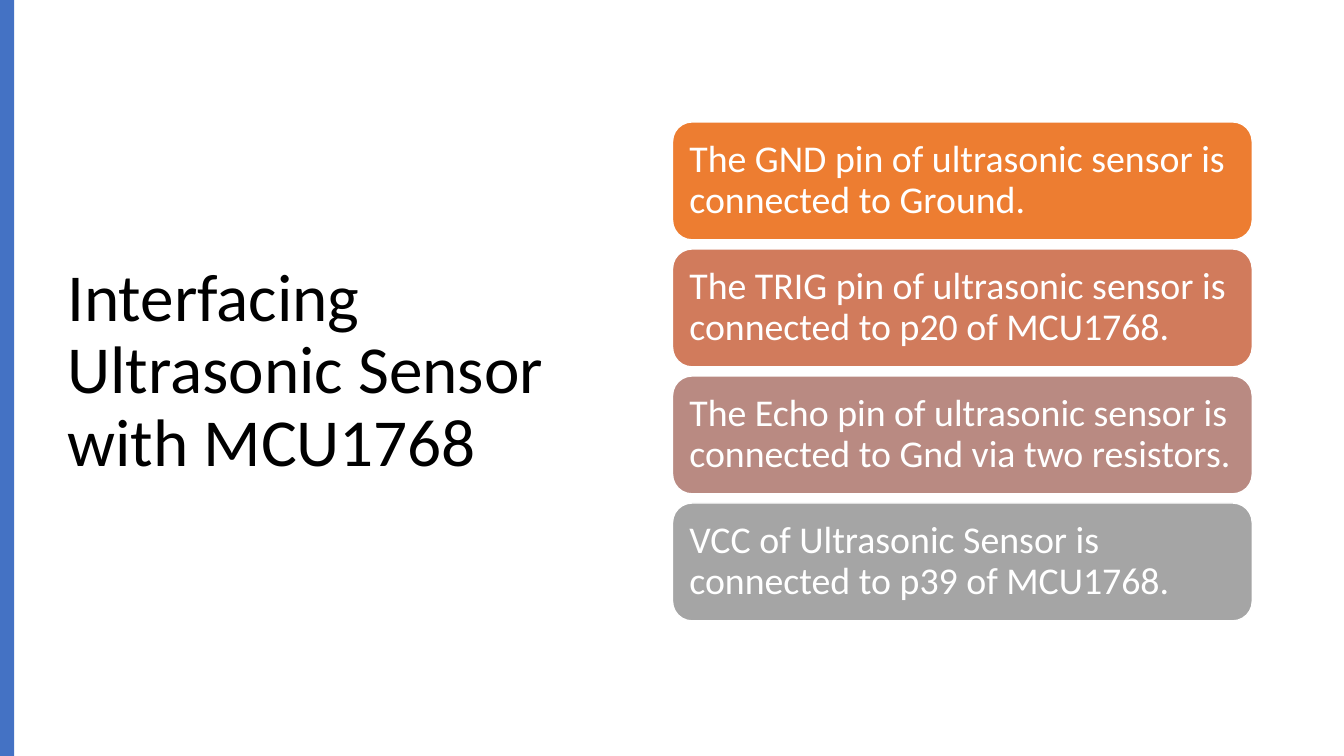
import pptx
import pptx.util
import pptx.dml.color
import pptx.enum.shapes
import pptx.enum.text

Inches = pptx.util.Inches
SHAPE = pptx.enum.shapes.MSO_SHAPE
COLORS = {
    "bar": "4472C4",
    "ground": "ED7D31",
    "trigger": "D17B5C",
    "echo": "B98A82",
    "supply": "A5A5A5",
    "white": "FFFFFF",
    "black": "000000",
}


def rgb(name):
    return pptx.dml.color.RGBColor.from_string(COLORS[name])


def set_text(tf, text, size, color, inset_x, inset_y):
    tf.word_wrap = True
    tf.vertical_anchor = pptx.enum.text.MSO_ANCHOR.MIDDLE
    tf.margin_left = tf.margin_right = Inches(inset_x)
    tf.margin_top = tf.margin_bottom = Inches(inset_y)
    p = tf.paragraphs[0]
    p.text = text
    p.alignment = pptx.enum.text.PP_ALIGN.LEFT
    p.line_spacing = 0.9
    p.font.name = "Calibri"
    p.font.size = pptx.util.Pt(size)
    p.font.color.rgb = rgb(color)


prs = pptx.Presentation()
prs.slide_width = Inches(13.33)
prs.slide_height = Inches(7.5)
s = prs.slides.add_slide(prs.slide_layouts[6])

# Title
sp = s.shapes.add_textbox(Inches(0.57), Inches(0.68), Inches(5.67), Inches(6.02))
set_text(sp.text_frame, "Interfacing Ultrasonic Sensor with MCU1768", 48, "black", 0.1, 0.05)

# Bar on the left edge
sp = s.shapes.add_shape(SHAPE.RECTANGLE, 0, 0, Inches(0.14), prs.slide_height)
sp.shadow.inherit = False
sp.fill.solid()
sp.fill.fore_color.rgb = rgb("bar")
sp.line.fill.background()

# Pin connections, one card each
pins = [
    ("ground", "The GND pin of ultrasonic sensor is connected to Ground."),
    ("trigger", "The TRIG pin of ultrasonic sensor is connected to p20 of MCU1768."),
    ("echo", "The Echo pin of ultrasonic sensor is connected to Gnd via two resistors."),
    ("supply", "VCC of Ultrasonic Sensor is connected to p39 of MCU1768."),
]
for i, (color, text) in enumerate(pins):
    sp = s.shapes.add_shape(SHAPE.ROUNDED_RECTANGLE, Inches(6.67), Inches(1.21 + 1.26 * i),
                            Inches(5.75), Inches(1.17))
    sp.shadow.inherit = False
    sp.fill.solid()
    sp.fill.fore_color.rgb = rgb(color)
    sp.line.color.rgb = rgb("white")
    sp.line.width = pptx.util.Pt(1)
    set_text(sp.text_frame, text, 27, "white", 0.11, 0.11)

prs.save("out.pptx")
